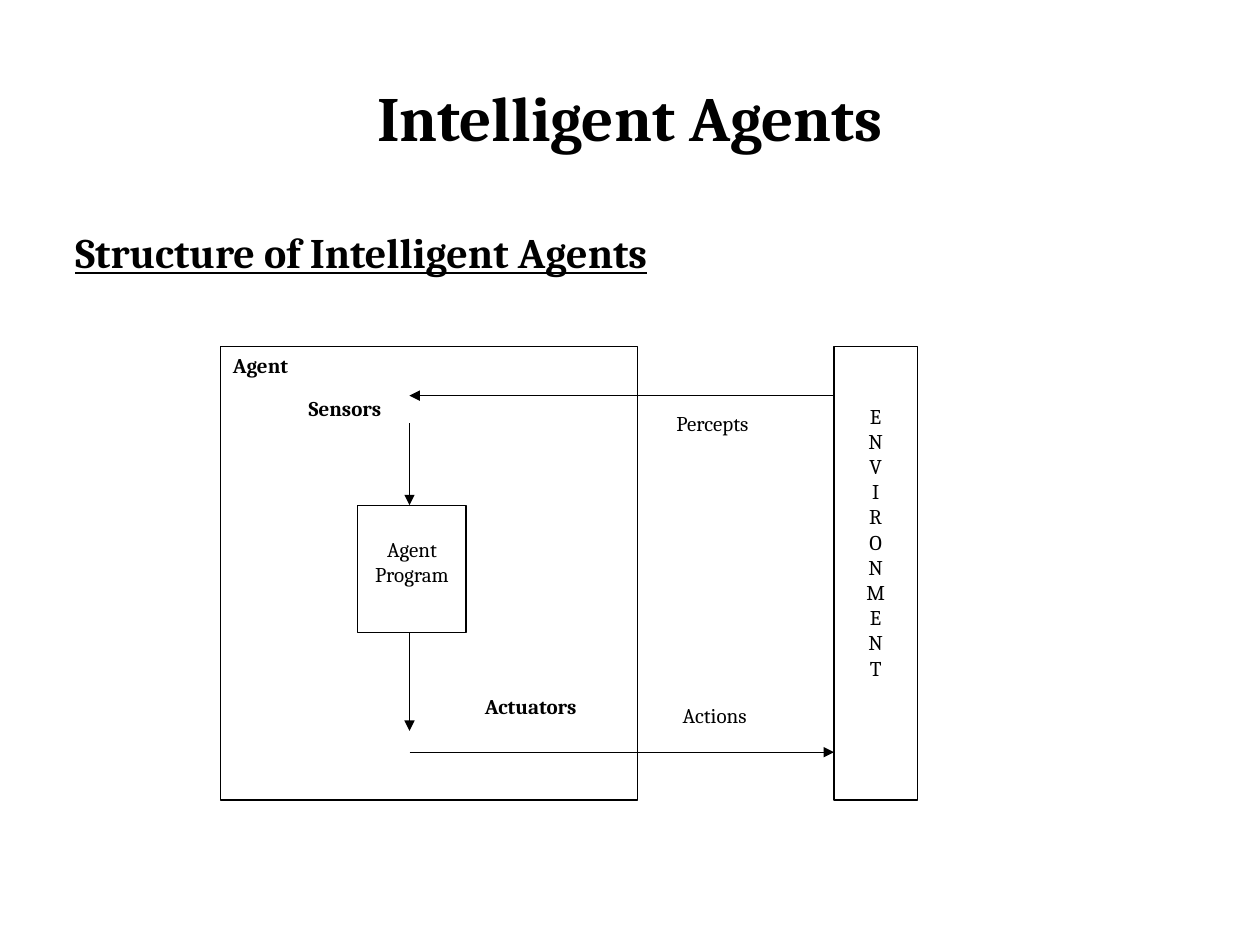
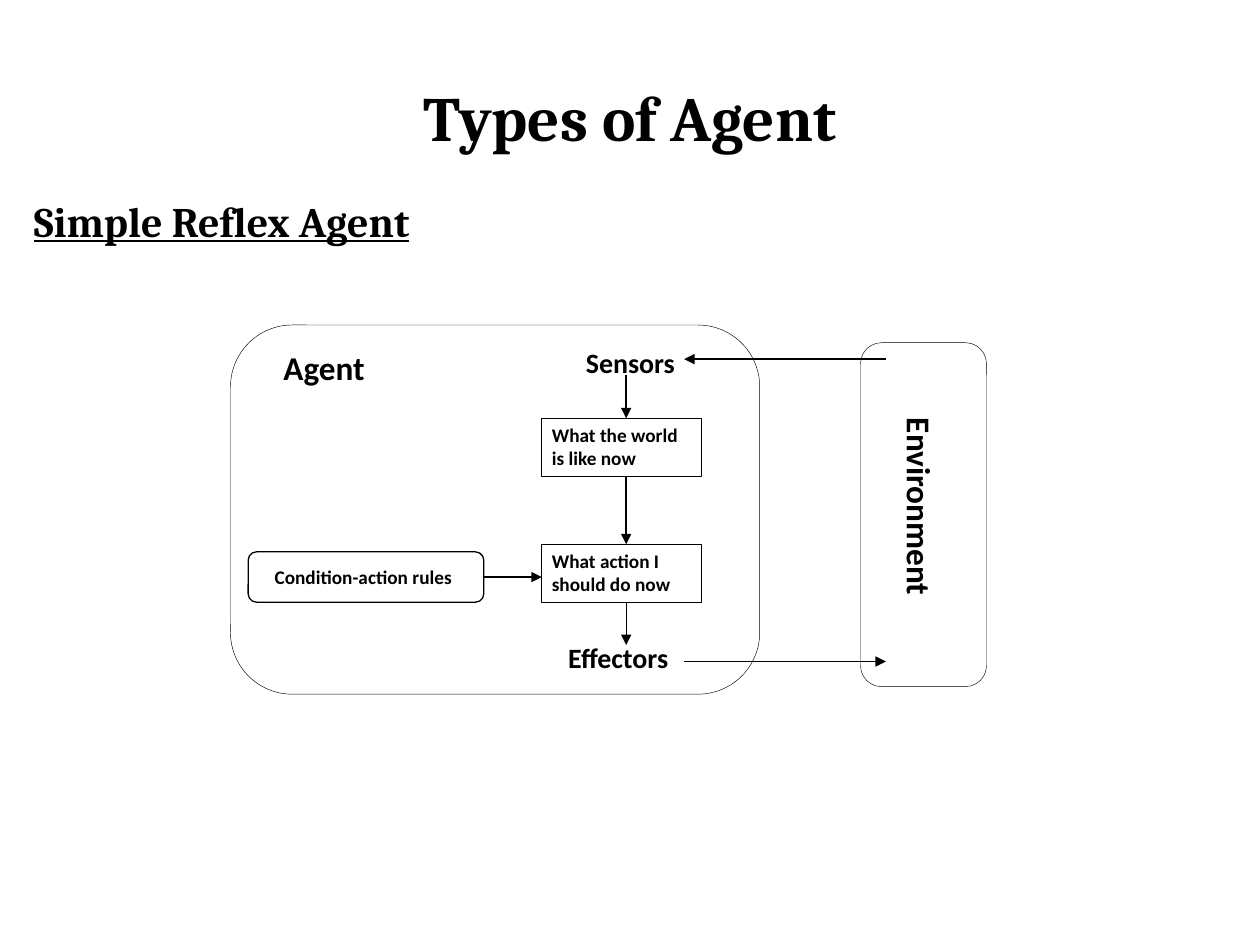
from dataclasses import dataclass

import pptx
import pptx.dml.color
import pptx.enum.shapes
import pptx.enum.text
import pptx.oxml
import pptx.oxml.ns
import pptx.util

Inches = pptx.util.Inches
Pt = pptx.util.Pt
MSO_SHAPE = pptx.enum.shapes.MSO_SHAPE
ALIGN = pptx.enum.text.PP_ALIGN
ANCHOR = pptx.enum.text.MSO_ANCHOR


@dataclass(frozen=True)
class Theme:
    ink: pptx.dml.color.RGBColor = pptx.dml.color.RGBColor(0, 0, 0)
    paper: pptx.dml.color.RGBColor = pptx.dml.color.RGBColor(255, 255, 255)
    serif: str = "Cambria"
    sans: str = "Calibri"
    title: float = 36
    heading: float = 24
    large: float = 19
    port: float = 16
    body: float = 12
    small: float = 11
    hairline: float = 0.25
    thin: float = 0.75
    medium: float = 1
    corner: float = 0.167


THEME = Theme()
WIDE_INSETS = (0.1, 0.05, 0.1, 0.05)
TIGHT_INSETS = (0.08, 0.04, 0.08, 0.04)


def write(tf, text, *, size, font=THEME.serif, bold=False, underline=False,
          align=ALIGN.LEFT, anchor=ANCHOR.TOP, insets=WIDE_INSETS, after=0):
    """Fill a text frame with one paragraph per line; insets run left, top, right, bottom."""
    tf.word_wrap = True
    tf.vertical_anchor = anchor
    tf.margin_left, tf.margin_top, tf.margin_right, tf.margin_bottom = map(Inches, insets)
    for i, line in enumerate(text.split("\n")):
        p = tf.add_paragraph() if i else tf.paragraphs[0]
        p.alignment = align
        p.space_before = Pt(0)
        p.space_after = Pt(after)
        r = p.add_run()
        r.text = line
        r.font.name = font
        r.font.size = Pt(size)
        r.font.bold = bold
        r.font.underline = underline
        r.font.color.rgb = THEME.ink


class Deck:
    def __init__(self, theme):
        self.theme = theme
        self.prs = pptx.Presentation()
        self.prs.slide_width = Inches(10)
        self.prs.slide_height = Inches(7.5)
        self.s = None

    def slide(self, title):
        self.s = self.prs.slides.add_slide(self.prs.slide_layouts[5])
        sp = self.s.shapes.title
        sp.left, sp.top, sp.width, sp.height = map(Inches, (0.5, 0.3, 9, 1.25))
        write(sp.text_frame, title, size=self.theme.title, bold=True,
              align=ALIGN.CENTER, anchor=ANCHOR.MIDDLE)

    def text(self, at, text, **style):
        sp = self.s.shapes.add_textbox(*map(Inches, at))
        write(sp.text_frame, text, **style)
        return sp

    def heading(self, left, top, text):
        self.text((left, top, 9, 0.5), text, size=self.theme.heading,
                  bold=True, underline=True)

    def box(self, at, text=None, *, rounded=False, filled=True, line=THEME.thin, **style):
        kind = MSO_SHAPE.ROUNDED_RECTANGLE if rounded else MSO_SHAPE.RECTANGLE
        sp = self.s.shapes.add_shape(kind, *map(Inches, at))
        sp.shadow.inherit = False
        if rounded:
            sp.adjustments[0] = self.theme.corner
        if filled:
            sp.fill.solid()
            sp.fill.fore_color.rgb = self.theme.paper
        else:
            sp.fill.background()
        if line:
            sp.line.color.rgb = self.theme.ink
            sp.line.width = Pt(line)
        else:
            sp.line.fill.background()
        if text:
            write(sp.text_frame, text, **style)
        return sp

    def arrow(self, x1, y1, x2, y2, width=THEME.thin):
        straight = pptx.enum.shapes.MSO_CONNECTOR.STRAIGHT
        cn = self.s.shapes.add_connector(straight, *map(Inches, (x1, y1, x2, y2)))
        cn.line.color.rgb = self.theme.ink
        cn.line.width = Pt(width)
        ns = pptx.oxml.ns.nsdecls("a")
        props = cn.element.spPr
        props.find(pptx.oxml.ns.qn("a:ln")).append(
            pptx.oxml.parse_xml(f'<a:tailEnd {ns} type="triangle"/>'))
        props.append(pptx.oxml.parse_xml(f"<a:effectLst {ns}/>"))


def structure_slide(deck):
    deck.slide("Intelligent Agents")
    deck.heading(0.5, 1.75, "Structure of Intelligent Agents")

    body = deck.theme.body
    top, height = 2.75, 3.6
    agent_x, env_x = 3.25, 6.62
    deck.box((env_x, top, 0.66, height), "\n".join("ENVIRONMENT"), size=body,
             align=ALIGN.CENTER, insets=(0.1, 0.45, 0.1, 0.05))
    for left, y, label in ((5.27, 3.21, "Percepts"), (5.32, 5.53, "Actions")):
        deck.box((left, y, 0.98, 0.36), label, line=None, size=body)

    agent = deck.box((1.75, top, 3.31, height), "Agent\nSensors\nActuators",
                     size=body, bold=True, after=10)
    _, sensors, actuators = agent.text_frame.paragraphs
    for p, indent in ((sensors, 0.6), (actuators, 2)):
        p._p.get_or_add_pPr().set("marL", str(Inches(indent)))
    actuators.space_before = Pt(146)

    deck.arrow(agent_x, 3.36, agent_x, 4.01)
    deck.arrow(agent_x, 5.02, agent_x, 5.8)
    deck.box((2.84, 4.01, 0.86, 1.01), "Agent Program", size=body,
             align=ALIGN.CENTER, insets=(0.1, 0.25, 0.1, 0.05))
    deck.arrow(env_x, 3.14, agent_x, 3.14)
    deck.arrow(agent_x, 5.97, env_x, 5.97)


def reflex_slide(deck):
    theme = deck.theme
    deck.slide("Types of Agent")
    deck.heading(0.17, 1.5, "Simple Reflex Agent")

    label = dict(font=theme.sans, bold=True, insets=TIGHT_INSETS, after=10)
    for frame in ((1.83, 2.58, 4.2, 2.93), (6.83, 2.72, 1, 2.73)):
        deck.box(frame, rounded=True, filled=False, line=theme.hairline)
    env = deck.text((6.11, 3.82, 2.38, 0.4), "Environment", size=theme.large,
                    align=ALIGN.CENTER, **label)
    env.rotation = 90
    deck.text((2.17, 2.72, 1.07, 0.4), "Agent", size=theme.large, **label)

    step_left, step_height = 4.3, 0.46
    for y, step in ((3.32, "What the world is like now"),
                    (4.32, "What action I should do now")):
        deck.box((step_left, y, 1.27, step_height), step, size=theme.small, **label)
    deck.box((1.97, 4.38, 1.87, 0.4), "Condition-action rules", rounded=True,
             size=theme.small, font=theme.sans, bold=True, anchor=ANCHOR.MIDDLE,
             insets=(0.19, 0.04, 0.04, 0.04))
    deck.arrow(3.83, 4.58, step_left, 4.58, theme.medium)

    deck.text((4.57, 2.7, 0.93, 0.35), "Sensors", size=theme.port, **label)
    deck.text((4.43, 5.04, 1.07, 0.35), "Effectors", size=theme.port, **label)

    flow_x, port_x, env_x = 4.97, 5.43, 7.03
    for start, end, width in ((2.98, 3.32, theme.medium), (3.78, 4.32, theme.medium),
                              (4.78, 5.12, theme.thin)):
        deck.arrow(flow_x, start, flow_x, end, width)
    deck.arrow(port_x, 5.25, env_x, 5.25, theme.medium)
    deck.arrow(env_x, 2.85, port_x, 2.85, theme.medium)


def main():
    deck = Deck(THEME)
    structure_slide(deck)
    reflex_slide(deck)
    deck.prs.save("out.pptx")


if __name__ == "__main__":
    main()
